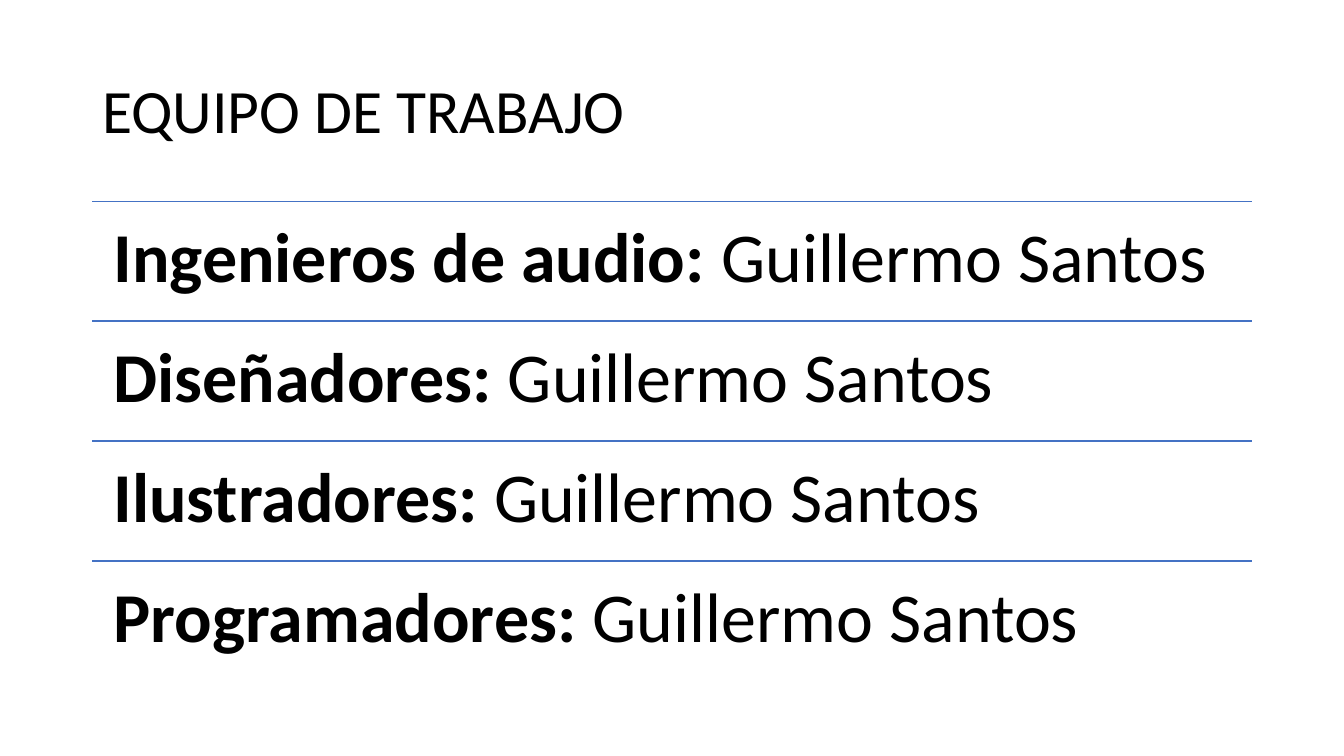
from lxml import etree
from pptx import Presentation
from pptx.dml.color import RGBColor
from pptx.enum.shapes import MSO_CONNECTOR
from pptx.enum.text import MSO_ANCHOR
from pptx.oxml.ns import qn
from pptx.util import Cm, Pt

STRAIGHT = MSO_CONNECTOR.STRAIGHT
MIDDLE = MSO_ANCHOR.MIDDLE
TOP = MSO_ANCHOR.TOP

FONT = "Calibri"
COLOURS = {"text": "000000", "rule": "4472C4"}
TEAM = [
    ("Ingenieros de audio:", "Guillermo Santos"),
    ("Diseñadores:", "Guillermo Santos"),
    ("Ilustradores:", "Guillermo Santos"),
    ("Programadores:", "Guillermo Santos"),
]


def colour(name):
    return RGBColor.from_string(COLOURS[name])


def add_text(slide, box, parts, size, anchor, insets):
    """Place one line of (text, bold) parts in a box of left, top, width, height in cm."""
    shape = slide.shapes.add_textbox(*map(Cm, box))
    frame = shape.text_frame
    frame.word_wrap = True
    frame.vertical_anchor = anchor
    frame.margin_left = frame.margin_right = Cm(insets[0])
    frame.margin_top = frame.margin_bottom = Cm(insets[1])
    paragraph = frame.paragraphs[0]
    paragraph.line_spacing = 0.9
    for text, bold in parts:
        run = paragraph.add_run()
        run.text = text
        run.font.name = FONT
        run.font.size = Pt(size)
        run.font.bold = bold
        run.font.color.rgb = colour("text")


def add_rule(slide, left, top, width):
    rule = slide.shapes.add_connector(
        STRAIGHT, Cm(left), Cm(top), Cm(left + width), Cm(top))
    rule.line.color.rgb = colour("rule")
    rule.line.width = Pt(1)
    etree.SubElement(rule._element.spPr, qn("a:effectLst"))


def add_title(slide, box, title):
    add_text(slide, box, [(title, False)], 44, MIDDLE, (0.25, 0.13))


def add_team_list(slide, box, team):
    """Divide the box into equal rows, each below a thin rule."""
    left, top, width, height = box
    row_height = height / len(team)
    for index, (role, person) in enumerate(team):
        row_top = top + index * row_height
        add_rule(slide, left, row_top, width)
        add_text(slide, (left, row_top, width, row_height),
                 [(role, True), (f" {person}", False)], 50, TOP, (0.53, 0.53))


def main():
    presentation = Presentation()
    presentation.slide_width = Cm(33.87)
    presentation.slide_height = Cm(19.05)
    slide = presentation.slides.add_slide(presentation.slide_layouts[6])
    left, width = 2.33, 29.21
    add_title(slide, (left, 1.01, width, 3.68), "EQUIPO DE TRABAJO")
    add_team_list(slide, (left, 5.07, width, 12.09), TEAM)
    presentation.save("out.pptx")


if __name__ == "__main__":
    main()
